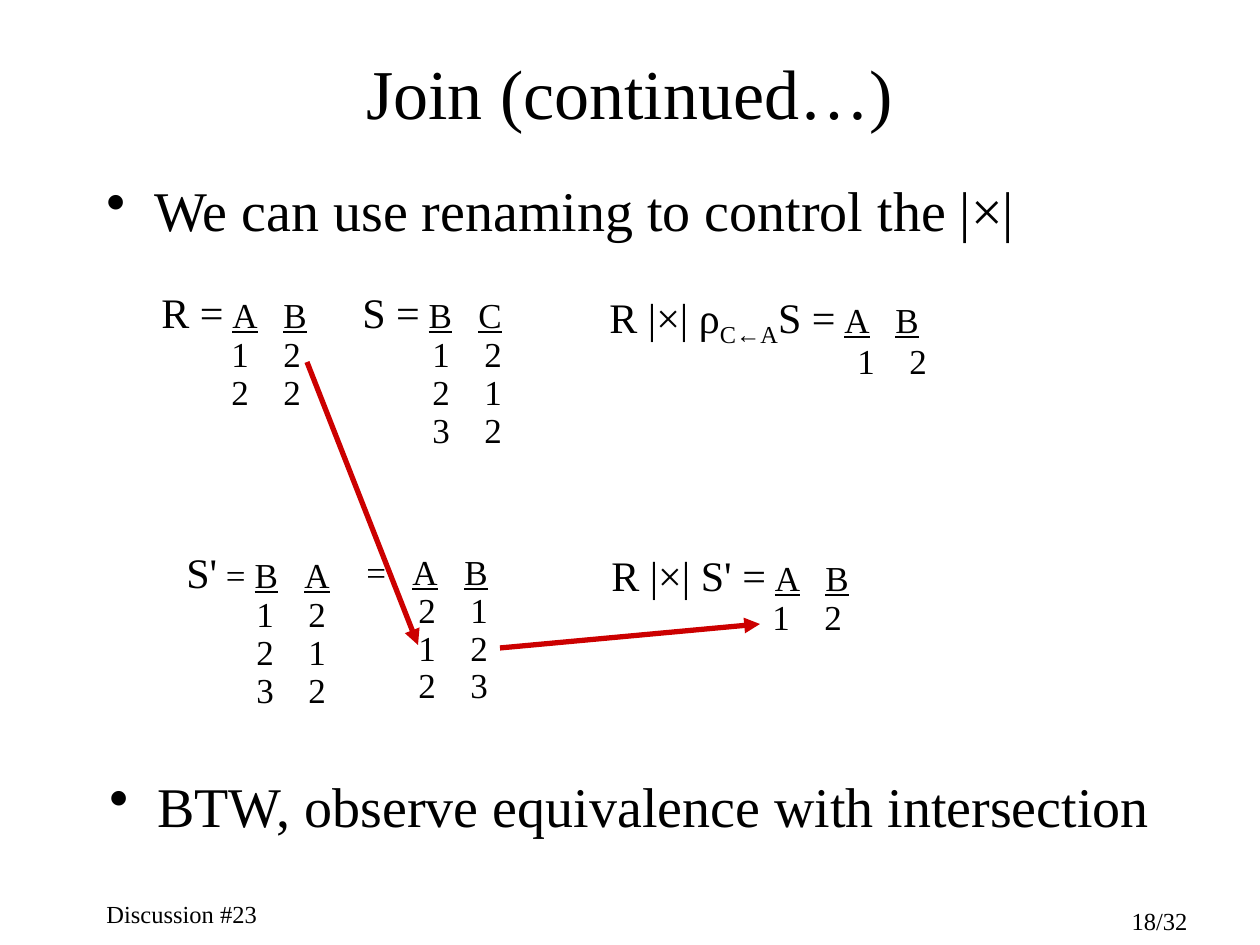
from lxml import etree
from pptx import Presentation, util as u
from pptx.dml.color import RGBColor
from pptx.enum import shapes, text
from pptx.oxml.ns import qn

SCALE = u.Inches(1) / 126


def px(n):
    return u.Emu(round(n * SCALE))


def paint(code):
    return RGBColor.from_string(code)


class Page:
    """Draws styled elements on one slide."""
    font = "Times New Roman"
    ink = "000000"
    red = "CC0000"

    def __init__(self, slide):
        self.slide = slide

    def frame(self, x, y, w, h):
        box = self.slide.shapes.add_textbox(px(x), px(y), px(w), px(h))
        box.text_frame.word_wrap = True
        return box.text_frame

    def run(self, para, words, size, under=False, base=0):
        run = para.add_run()
        run.text = words
        font = run.font
        font.name, font.size = self.font, u.Pt(size)
        font.color.rgb = paint(self.ink)
        if under:
            font.underline = True
        if base:
            run._r.get_or_add_rPr().set("baseline", str(base * 1000))

    def label(self, words, spot, size, align="LEFT", anchor="TOP"):
        frame = self.frame(*spot)
        frame.vertical_anchor = getattr(text.MSO_ANCHOR, anchor)
        para = frame.paragraphs[0]
        para.alignment = getattr(text.PP_ALIGN, align)
        self.run(para, words, size)

    def bullet(self, words, spot):
        para = self.frame(*spot).paragraphs[0]
        para.space_before = u.Pt(3.6)
        props = para._p.get_or_add_pPr()
        props.set("marL", str(px(48)))
        props.set("indent", str(px(-48)))
        etree.SubElement(props, qn("a:buChar")).set("char", "•")
        self.run(para, words, 32)

    def tabs(self, para, stops):
        para.line_spacing = 0.9
        tabs = etree.SubElement(para._p.get_or_add_pPr(), qn("a:tabLst"))
        for stop in stops:
            tab = etree.SubElement(tabs, qn("a:tab"))
            tab.set("pos", str(px(stop)))
            tab.set("algn", "l")

    def relation(self, spot, lead, names, rows, stops, left):
        frame = self.frame(*spot)
        frame.auto_size = text.MSO_AUTO_SIZE.SHAPE_TO_FIT_TEXT
        head = frame.paragraphs[0]
        self.tabs(head, stops)
        for part in lead:
            self.run(head, *part)
        self.run(head, "\t".join(names), 20, under=True)
        for row in rows:
            para = frame.add_paragraph()
            self.tabs(para, (left, left + 52))
            self.run(para, "".join("\t" + cell for cell in row), 20)

    def arrow(self, x1, y1, x2, y2):
        line = self.slide.shapes.add_connector(
            shapes.MSO_CONNECTOR.STRAIGHT, px(x1), px(y1), px(x2), px(y2))
        line.line.color.rgb = paint(self.red)
        line.line.width = u.Pt(3)
        tail = etree.SubElement(line.line._get_or_add_ln(), qn("a:tailEnd"))
        tail.set("type", "triangle")
        etree.SubElement(line._element.spPr, qn("a:effectLst"))


deck = Presentation()
deck.slide_width, deck.slide_height = px(1260), px(945)
page = Page(deck.slides.add_slide(deck.slide_layouts[6]))

page.label("Discussion #23", (94, 893, 262, 42), 14)
page.label("18/32", (935, 900, 265, 34), 14, align="RIGHT")
page.label("Join (continued…)", (94, 53, 1071, 77), 40, "CENTER", "MIDDLE")
page.bullet("We can use renaming to control the |×|", (94, 169, 1071, 93))

gap = (" ", 20)
rename = [("R |×| ρ", 24), ("C←A", 24, False, -25), ("S =", 24), gap]
relations = [
    ((149, 286, 194, 134), [("R =", 24), gap], "AB",
     ("12", "22"), (122,), 70),
    ((350, 286, 194, 171), [("S =", 24), gap], "BC",
     ("12", "21", "32"), (116,), 70),
    ((597, 286, 500, 96), rename, "AB", ("12",), (286,), 248),
    ((174, 546, 176, 171), [("S'", 24), (" = ", 20)], "BA",
     ("12", "21", "32"), (118,), 70),
    ((354, 549, 165, 164), [("=\t", 20)], "AB",
     ("21", "12", "23"), (46, 98), 52),
    ((599, 549, 276, 96), [("R |×| S' =", 24), gap], "AB",
     ("12",), (214,), 161),
]
for relation in relations:
    page.relation(*relation)

page.bullet("BTW, observe equivalence with intersection", (97, 765, 1071, 93))
page.arrow(307, 362, 418, 645)
page.arrow(500, 648, 760, 624)

deck.save("out.pptx")
